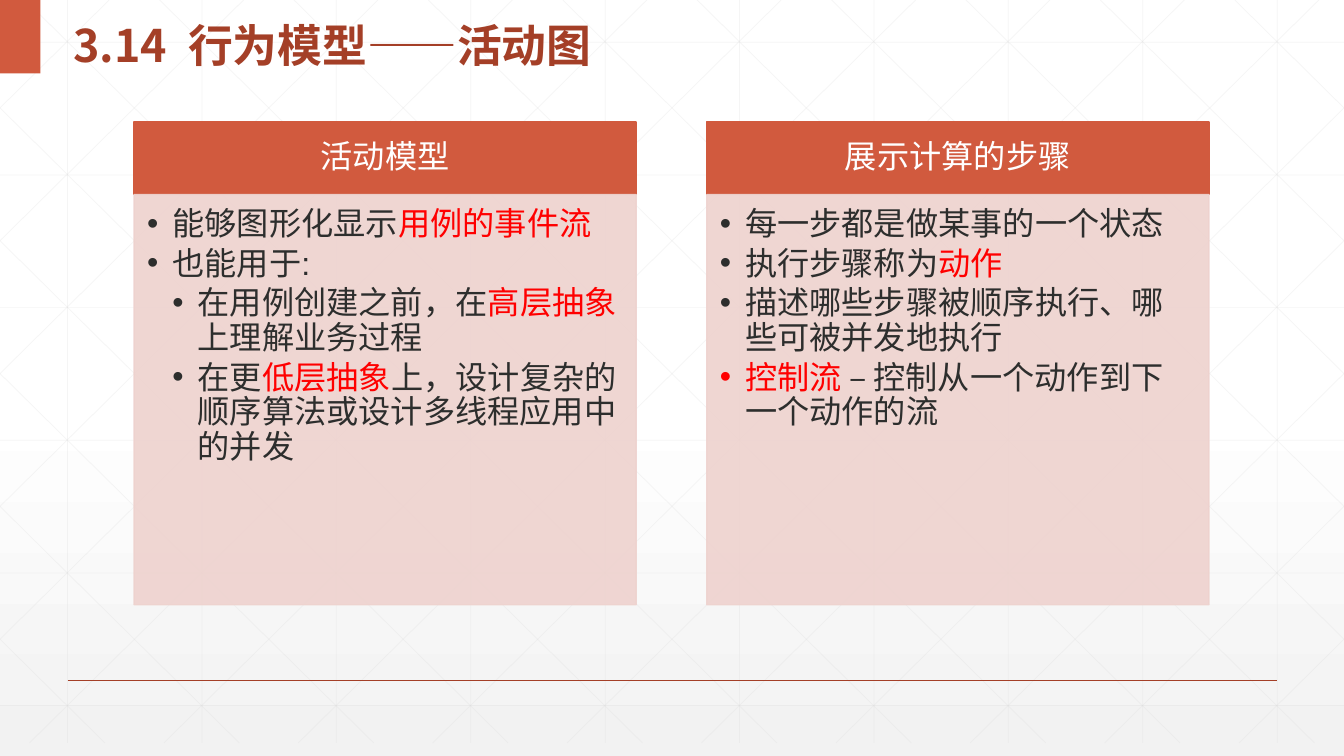
from dataclasses import dataclass

from lxml.etree import SubElement
from pptx import Presentation
from pptx.dml.color import RGBColor
from pptx.enum.shapes import MSO_CONNECTOR, MSO_SHAPE
from pptx.enum.text import MSO_ANCHOR, PP_ALIGN
from pptx.oxml.ns import qn
from pptx.util import Inches, Pt


@dataclass(frozen=True)
class Theme:
    accent: str = "D15A3E"
    accent_dark: str = "A43F27"
    panel: str = "EED2CE"
    ink: str = "2D2E2D"
    highlight: str = "FF0000"
    white: str = "FFFFFF"
    shade: str = "F2F2F2"
    grid: str = "D9D9D9"
    title_font: str = "Noto Sans CJK SC"
    body_font: str = "Arial"
    title_size: int = 32
    body_size: int = 23


THEME = Theme()
WIDTH, HEIGHT = 13.33, 7.5
GRID_BOTTOM, GRID_STEP_X, GRID_STEP_Y = 7.37, 1.333, 1.316
DIAGONAL_RUN = 7.455
CARD_LEFT, CARD_TOP, CARD_WIDTH, CARD_STEP = 1.33, 1.21, 4.98, 5.68
HEADER_HEIGHT, BODY_HEIGHT = 0.72, 4.07

# Each bullet is a level and its runs; highlighted runs are marked True
CARDS = [
    ("活动模型", [
        (1, [("能够图形化显示", False), ("用例的事件流", True)]),
        (1, [("也能用于:", False)]),
        (2, [("在用例创建之前，在", False), ("高层抽象", True), ("上理解业务过程", False)]),
        (2, [("在更", False), ("低层抽象", True),
             ("上，设计复杂的顺序算法或设计多线程应用中的并发", False)]),
    ]),
    ("展示计算的步骤", [
        (1, [("每一步都是做某事的一个状态", False)]),
        (1, [("执行步骤称为", False), ("动作", True)]),
        (1, [("描述哪些步骤被顺序执行、哪些可被并发地执行", False)]),
        (1, [("控制流", True), (" – 控制从一个动作到下一个动作的流", False)]),
    ]),
]


def rgb(color):
    return RGBColor.from_string(color)


def set_alpha(element, percent):
    for color in element.iter(qn("a:srgbClr")):
        SubElement(color, qn("a:alpha"), val=str(percent * 1000))


def add_line(slide, start, end, color, width, alpha=100):
    points = [Inches(value) for value in (*start, *end)]
    line = slide.shapes.add_connector(MSO_CONNECTOR.STRAIGHT, *points)
    line.line.color.rgb = rgb(color)
    line.line.width = Pt(width)
    properties = line._element.spPr
    if alpha < 100:
        set_alpha(properties, alpha)
    SubElement(properties, qn("a:effectLst"))


def add_block(slide, box, color, border=True, alpha=100):
    shape = slide.shapes.add_shape(MSO_SHAPE.RECTANGLE, *map(Inches, box))
    shape.shadow.inherit = False
    shape.fill.solid()
    shape.fill.fore_color.rgb = rgb(color)
    if border:
        shape.line.color.rgb = rgb(color)
        shape.line.width = Pt(1)
    else:
        shape.line.fill.background()
    if alpha < 100:
        set_alpha(shape._element.spPr, alpha)
    return shape


def set_frame(shape, anchor, left, top, right, bottom):
    frame = shape.text_frame
    frame.word_wrap = True
    frame.vertical_anchor = anchor
    frame.margin_left, frame.margin_top = Inches(left), Inches(top)
    frame.margin_right, frame.margin_bottom = Inches(right), Inches(bottom)
    return frame


def style_run(run, color, size=THEME.body_size, font=THEME.body_font, bold=False):
    run.font.name = font
    run.font.size = Pt(size)
    run.font.bold = bold
    run.font.color.rgb = rgb(color)


def add_bullet(paragraph, level, runs):
    paragraph.level = level
    paragraph.alignment = PP_ALIGN.LEFT
    paragraph.line_spacing = 0.9
    paragraph.space_after = Pt(3.5)
    properties = paragraph._p.get_or_add_pPr()
    properties.set("marL", str(Inches(0.25 * level)))
    properties.set("indent", str(-Inches(0.25)))
    SubElement(properties, qn("a:buFont"), typeface=THEME.body_font)
    SubElement(properties, qn("a:buChar"), char="•")
    for text, highlighted in runs:
        run = paragraph.add_run()
        run.text = text
        style_run(run, THEME.highlight if highlighted else THEME.ink)


def add_background(slide):
    fill = slide.background.fill
    fill.gradient()
    fill.gradient_angle = 270
    stops = slide._element.find(".//" + qn("a:gsLst"))
    for stop in list(stops):
        stops.remove(stop)
    for position, color in ((0, THEME.white), (53, THEME.white), (100, THEME.shade)):
        stop = SubElement(stops, qn("a:gs"), pos=str(position * 1000))
        SubElement(stop, qn("a:srgbClr"), val=color)
    set_alpha(stop, 65)


def add_lattice(slide):
    lines = []
    for column in range(10):
        x = 0.67 + column * GRID_STEP_X
        lines.append(((x, 0), (x, GRID_BOTTOM)))
    for row in range(6):
        y = 0.42 + row * GRID_STEP_Y
        lines.append(((0, y), (WIDTH, y)))
    # Diagonals are clipped at the slide sides, then mirrored
    slope = GRID_BOTTOM / DIAGONAL_RUN
    for step in range(-5, 10):
        x = 0.25 + step * GRID_STEP_X
        left, right = max(x, 0), min(x + DIAGONAL_RUN, WIDTH)
        top, bottom = (left - x) * slope, (right - x) * slope
        lines.append(((left, top), (right, bottom)))
        lines.append(((WIDTH - left, top), (WIDTH - right, bottom)))
    for start, end in lines:
        add_line(slide, start, end, THEME.grid, 0.5, alpha=25)


def add_title(slide):
    box = slide.shapes.add_textbox(Inches(0.63), 0, Inches(5.69), Inches(0.73))
    frame = set_frame(box, MSO_ANCHOR.MIDDLE, 0.1, 0.05, 0.1, 0.05)
    paragraph = frame.paragraphs[0]
    paragraph.line_spacing = 1.3
    # The space is widened by character spacing
    for text, spacing in (("3.14", 0), (" ", 750), ("行为模型——活动图", 0)):
        run = paragraph.add_run()
        run.text = text
        style_run(run, THEME.accent_dark, THEME.title_size, THEME.title_font, bold=True)
        properties = run._r.get_or_add_rPr()
        properties.set("spc", str(spacing))
        SubElement(properties, qn("a:ea"), typeface=THEME.title_font)


def add_card(slide, left, heading, bullets):
    header = add_block(slide, (left, CARD_TOP, CARD_WIDTH, HEADER_HEIGHT), THEME.accent)
    frame = set_frame(header, MSO_ANCHOR.MIDDLE, 0.18, 0.1, 0.18, 0.1)
    frame.text = heading
    paragraph = frame.paragraphs[0]
    paragraph.alignment = PP_ALIGN.CENTER
    paragraph.line_spacing = 0.9
    style_run(paragraph.runs[0], THEME.white)

    body_box = (left, CARD_TOP + HEADER_HEIGHT, CARD_WIDTH, BODY_HEIGHT)
    body = add_block(slide, body_box, THEME.panel, alpha=90)
    frame = set_frame(body, MSO_ANCHOR.TOP, 0.13, 0.13, 0.18, 0.2)
    for index, (level, runs) in enumerate(bullets):
        paragraph = frame.add_paragraph() if index else frame.paragraphs[0]
        add_bullet(paragraph, level, runs)


def main():
    presentation = Presentation()
    presentation.slide_width, presentation.slide_height = Inches(WIDTH), Inches(HEIGHT)
    slide = presentation.slides.add_slide(presentation.slide_layouts[6])

    # Backdrop and frame
    add_background(slide)
    add_lattice(slide)
    add_line(slide, (0.67, 6.75), (12.67, 6.75), THEME.accent_dark, 1)
    add_block(slide, (0, 0, 0.4, 0.73), THEME.accent, border=False)

    # Title and cards
    add_title(slide)
    for index, (heading, bullets) in enumerate(CARDS):
        add_card(slide, CARD_LEFT + index * CARD_STEP, heading, bullets)
    presentation.save("out.pptx")


if __name__ == "__main__":
    main()
